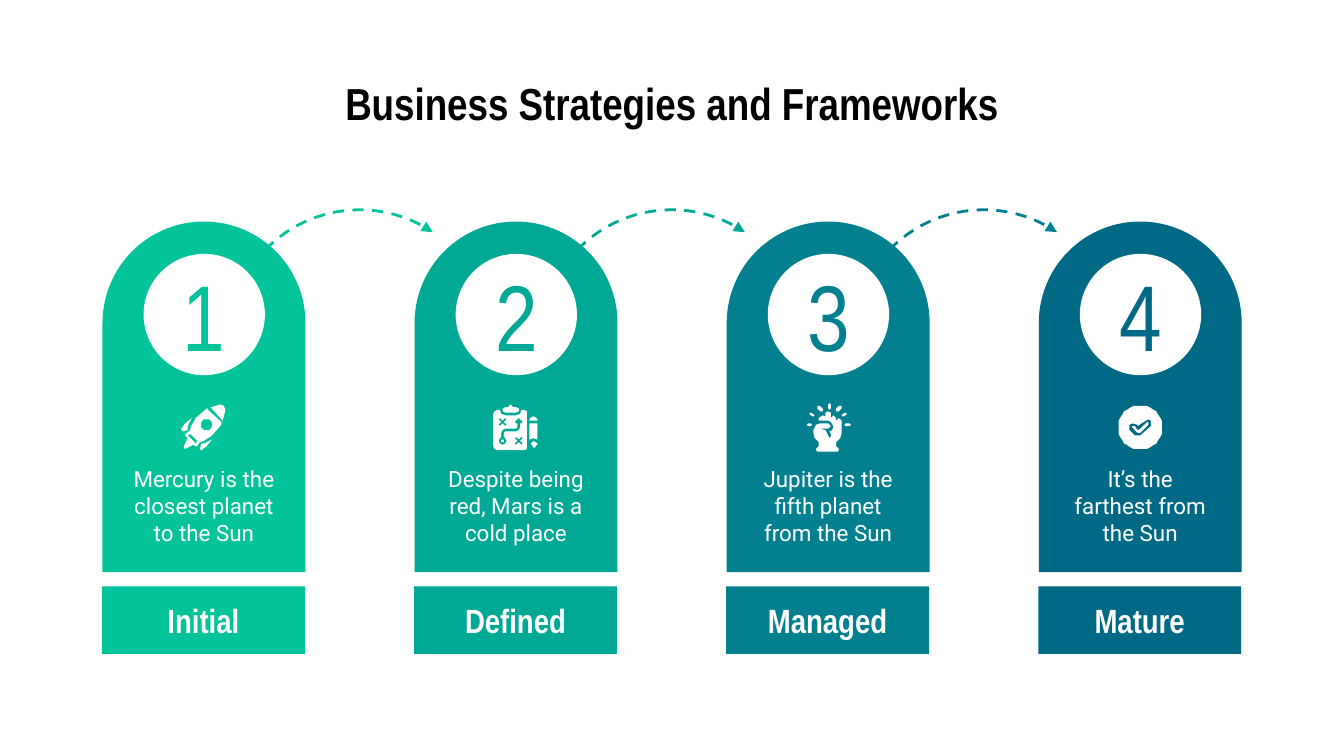
from math import cos, pi, sin, hypot

from lxml import etree
from pptx import Presentation, util as u
from pptx.dml.color import RGBColor
from pptx.enum import dml, shapes, text
from pptx.oxml import ns

Pt = u.Pt
WHITE = RGBColor(0xFF, 0xFF, 0xFF)
BLACK = RGBColor(0x00, 0x00, 0x00)
GREEN = RGBColor(0x02, 0xC3, 0x9A)
JADE = RGBColor(0x00, 0xA8, 0x96)
TEAL = RGBColor(0x02, 0x80, 0x90)
NAVY = RGBColor(0x00, 0x69, 0x85)

HEADING, BODY = "Arial Narrow", "Roboto"
ICON_UNIT = 0.72
FIRST_LEFT, PITCH, CARD_WIDTH = 54.9, 167.2, 108.7


def circle(x, y, radius, steps=40):
    return [(x + radius * cos(2 * pi * i / steps), y + radius * sin(2 * pi * i / steps))
            for i in range(steps)]


def cross(x, y):
    half = [(0, -1.2), (2, -3), (3, -2), (1.2, 0), (3, 2), (2, 3)]
    return [(x + sign * dx, y + sign * dy) for sign in (1, -1) for dx, dy in half]


def spark(x1, y1, x2, y2):
    """Outline of a short stroke with softened ends."""
    length = hypot(x2 - x1, y2 - y1)
    along, across = (x2 - x1) / length, (y2 - y1) / length
    corners = [(0, -1), (length, -1), (length + 1, 0), (length, 1), (0, 1), (-1, 0)]
    return [(x1 + s * along - t * across, y1 + s * across + t * along) for s, t in corners]


# An icon is a list of parts, a part a list of outlines around the icon centre.
ROCKET = [
    [[(13, -17), (12, -17), (5, -15), (14, -5), (16, -13), (15, -16)]],
    [[(6, 9), (0, 12), (-2, 12), (-3, 16), (-2, 17), (2, 14)]],
    [[(3, -14), (2, -14), (-6, -7), (-10, 0), (-10, 2), (-14, 5), (-14, 6), (-12, 8),
      (-15, 14), (-15, 15), (-14, 16), (-8, 13), (-6, 14), (-5, 14), (-3, 11), (0, 10),
      (6, 6), (13, -2), (13, -4), (3, -13)],
     circle(2, -2, 4.3),
     [(-10, 5), (-5, 10), (-6, 12), (-12, 6)]],
    [[(-9, -7), (-14, -3), (-17, 1), (-16, 3), (-12, 2), (-12, -1)]],
]
CLIPBOARD = [
    [circle(-10, 10, 1.2)],
    [[(-17, -10), (-16, -12), (-14, -13), (-12, -13), (-11, -10), (-8, -9), (0, -9),
      (3, -10), (4, -13), (6, -13), (8, -12), (8.5, -10), (8.5, 14), (8, 16), (6, 17),
      (-14, 17), (-16, 16), (-17, 14)],
     cross(-10, -4),
     cross(2, 10),
     [(2, -7), (5, -4), (4, -3), (3, -3), (3, 0), (2, 2), (0, 3), (-8, 3), (-9, 4),
      (-9, 7), (-7.5, 8.5), (-7, 10), (-8, 12), (-10, 13), (-12, 12), (-13, 10),
      (-12.5, 8.5), (-11, 7), (-11, 4), (-10, 2), (-8, 1), (0, 1), (1, 0), (1, -3),
      (0, -3), (-1, -4)]],
    [[(-4, -17), (-3, -16.5), (-2, -15), (0, -15), (2, -14), (2, -12), (0, -11),
      (-8, -11), (-10, -12), (-10, -14), (-8, -15), (-6, -15), (-5, -16.5)]],
    [[(10, -3), (10, 9), (13, 8), (16, 9), (16, -3)]],
    [[(10.5, -5), (10.5, -6), (12, -8.5), (14, -8.5), (16, -6), (16, -5)]],
    [[(11, 12), (13, 10), (16, 12), (14, 15), (13, 15)]],
]
FIST = [[spark(*ends)] for ends in [
    (1, -17, 1, -14), (9, -15, 7, -13), (13, -2, 16, -2), (-15, -2, -13, -2),
    (-7, -15, -5, -13), (-13, -10, -11, -9), (13, -10, 11, -9)]] + [
    [[(0, -12), (-2, -11), (-2, -8), (-4, -9), (-7, -7), (-7, -5), (0, -5), (2.5, -4),
      (4, -1), (3, 2), (1, 3), (2, 5), (2, 7), (1, 8), (0, 6), (-2, 2.5), (-6, 1),
      (0, 1), (2, -1), (0, -3), (-6, -3), (-9, -2), (-11, 2), (-11, 4), (-10, 8),
      (-7, 11), (-7, 14), (-9, 16), (-9, 17), (-8, 18), (7, 18), (8, 17), (8, 16),
      (6, 14), (6, 11), (9, 8), (10, 4), (10, -5), (8, -7), (6, -5), (6, -7), (4, -9),
      (2, -7), (2, -9), (1.5, -11)]],
]
CHECK = [
    [circle(0, 0, 16.5),
     [(5.5, -6), (7.5, -5), (7.5, -1), (0.5, 6), (-1.5, 6.5), (-3.5, 6), (-7.5, 2),
      (-7.5, -2), (-5.5, -3), (-2.5, -2), (-1.5, -1), (3.5, -5)]],
    [[(5.5, -4), (6.5, -3), (6.5, -2), (-0.5, 4), (-1.5, 4), (-5.5, 0), (-5.5, -1),
      (-4.5, -1), (-1.5, 1.5), (-0.5, 1), (5, -4)]],
]

STAGES = [
    ("Initial", "Mercury is the closest planet to the Sun", GREEN, ROCKET),
    ("Defined", "Despite being red, Mars is a cold place", JADE, CLIPBOARD),
    ("Managed", "Jupiter is the fifth planet from the Sun", TEAL, FIST),
    ("Mature", "It’s the farthest from the Sun", NAVY, CHECK),
]


class Painter:
    def __init__(self, page):
        self.page = page
        self.shapes = page.shapes

    def start_group(self):
        self.shapes = self.page.shapes.add_group_shape().shapes

    def label(self, shape, words, size, font, color, bold=False, insets=(7.2,) * 4):
        frame = shape.text_frame
        frame.text = words
        frame.word_wrap = True
        frame.vertical_anchor = text.MSO_ANCHOR.MIDDLE
        (frame.margin_left, frame.margin_top,
         frame.margin_right, frame.margin_bottom) = map(Pt, insets)
        para = frame.paragraphs[0]
        para.alignment = text.PP_ALIGN.CENTER
        span = para.runs[0].font
        span.size, span.name, span.bold = Pt(size), font, bold
        span.color.rgb = color

    def title(self, words, *place):
        box = self.page.shapes.add_textbox(*map(Pt, place))
        self.label(box, words, 24, HEADING, BLACK, bold=True)

    def fill(self, shape, color):
        shape.shadow.inherit = False
        shape.fill.solid()
        shape.fill.fore_color.rgb = color
        shape.line.fill.background()

    def block(self, kind, color, *place):
        shape = self.shapes.add_shape(kind, *map(Pt, place))
        self.fill(shape, color)
        return shape

    def arrow_arc(self, color, left, top, size, start, end):
        """Dashed clockwise arc between two angles in degrees, with an arrowhead."""
        arc = self.shapes.add_shape(shapes.MSO_SHAPE.ARC, *map(Pt, (left, top, size, size)))
        arc.shadow.inherit = False
        arc.fill.background()
        arc.adjustments[0] = start * 0.6
        arc.adjustments[1] = end * 0.6
        arc.line.color.rgb = color
        arc.line.width = Pt(1.5)
        arc.line.dash_style = dml.MSO_LINE.DASH
        line = arc.element.spPr.find(ns.qn("a:ln"))
        etree.SubElement(line, ns.qn("a:tailEnd"), type="triangle")

    def icon(self, parts, x, y):
        for outlines in parts:
            first, *holes = outlines
            builder = self.shapes.build_freeform(*first[0], scale=Pt(1) * ICON_UNIT)
            builder.add_line_segments(first[1:], close=True)
            for hole in holes:
                builder.move_to(*hole[0])
                builder.add_line_segments(hole[1:], close=True)
            self.fill(builder.convert_to_shape(Pt(x), Pt(y)), WHITE)

    def stage(self, number, left, name, words, color, icon, has_next):
        kinds = shapes.MSO_SHAPE
        self.start_group()
        if has_next:
            self.arrow_arc(color, left + 67.5, 112.4, 140.4, 224, 304)
        card = self.block(kinds.ROUND_2_SAME_RECTANGLE, color, left, 118.7, CARD_WIDTH, 187.8)
        card.adjustments[0] = 0.5
        card.adjustments[1] = 0
        self.label(card, words, 12, BODY, WHITE, insets=(0, 108, 0, 7.2))
        disc = self.block(kinds.OVAL, WHITE, left + 22, 136, 65, 65)
        self.label(disc, str(number), 50, HEADING, color)
        plate = self.block(kinds.RECTANGLE, color, left - 0.3, 314.2, CARD_WIDTH, 36.2)
        self.label(plate, name, 18, HEADING, WHITE, bold=True)
        self.icon(icon, left + CARD_WIDTH / 2, 229)


def main():
    deck = Presentation()
    deck.slide_width, deck.slide_height = Pt(720), Pt(405)
    painter = Painter(deck.slides.add_slide(deck.slide_layouts[6]))
    painter.title("Business Strategies and Frameworks", 36, 32.4, 648, 45.4)
    for index, stage in enumerate(STAGES):
        painter.stage(index + 1, FIRST_LEFT + index * PITCH, *stage,
                      has_next=index < len(STAGES) - 1)
    deck.save("out.pptx")


if __name__ == "__main__":
    main()
